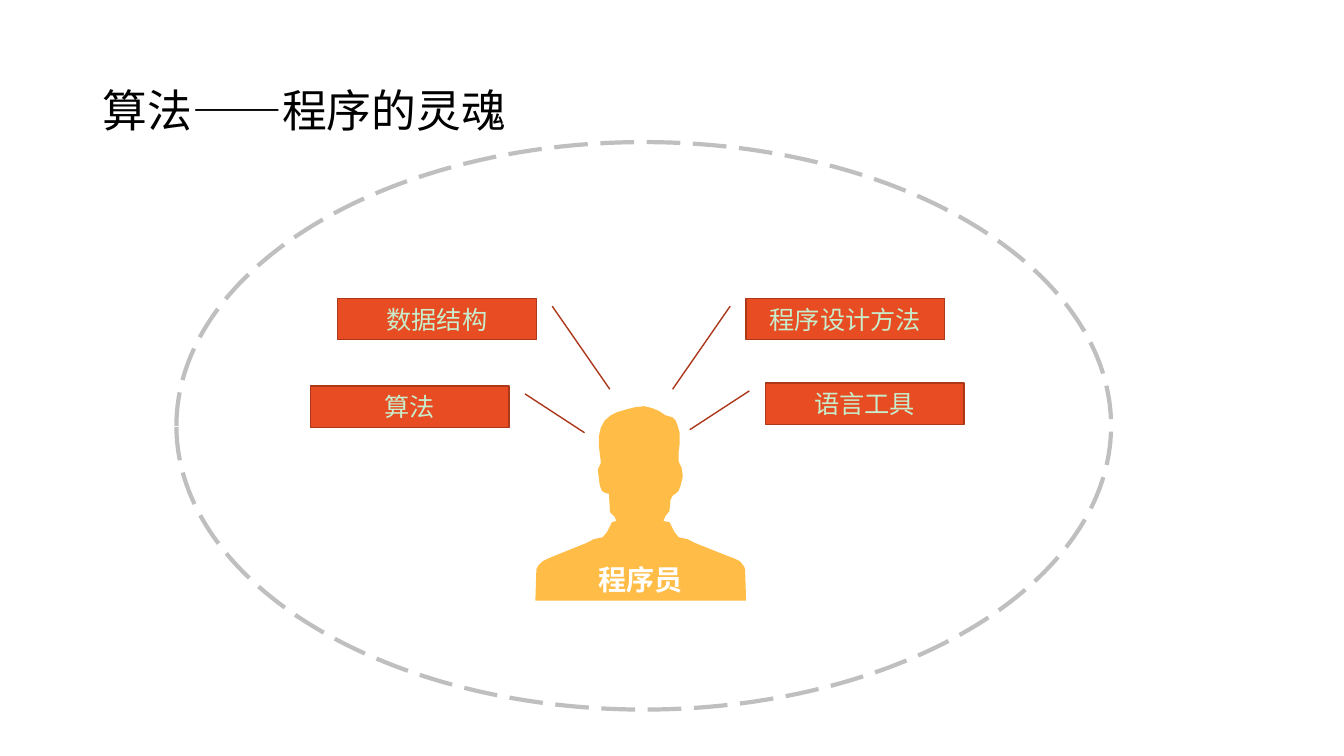
from lxml import etree
from pptx import Presentation
from pptx.dml.color import RGBColor
from pptx.enum.dml import MSO_LINE
from pptx.enum.shapes import MSO_SHAPE
from pptx.enum.text import MSO_ANCHOR, PP_ALIGN
from pptx.oxml.ns import qn
from pptx.util import Inches, Pt

CALLOUT, ELLIPSE = MSO_SHAPE.LINE_CALLOUT_1, MSO_SHAPE.OVAL
LONG_DASH = MSO_LINE.LONG_DASH
MIDDLE = MSO_ANCHOR.MIDDLE
LEFT, CENTER = PP_ALIGN.LEFT, PP_ALIGN.CENTER
FONT = "Noto Sans CJK SC"
WHITE, BLACK, GREY = "FFFFFF", "000000", "BFBFBF"
ORANGE, RUST, AMBER, MINT = "E84C22", "AC3819", "FFBD47", "C7EDCC"

CALLOUT_SIZE = (1.97, 0.41)
# Leader line: start y, start x, end y, end x, as shares of the box
SHORT_LEADER = (0.19, -0.08, 1.13, -0.38)
LONG_LEADER = (0.19, -0.08, 2.2, -0.37)
SKILLS = [
    # text, left, top, leader, mirrored
    ("算法", 3.08, 3.83, SHORT_LEADER, True),
    ("数据结构", 3.35, 2.96, LONG_LEADER, True),
    ("语言工具", 7.59, 3.8, SHORT_LEADER, False),
    ("程序设计方法", 7.4, 2.96, LONG_LEADER, False),
]

PERSON_OUTLINE = [
    # right side of the head
    (6.72, 4.22), (6.74, 4.29), (6.74, 4.41), (6.73, 4.49), (6.73, 4.58),
    (6.76, 4.64), (6.77, 4.7), (6.77, 4.74), (6.75, 4.82), (6.73, 4.87),
    (6.71, 4.89), (6.67, 4.92), (6.65, 4.96), (6.64, 5.07), (6.6, 5.12),
    (6.58, 5.17), (6.64, 5.18),
    # right shoulder
    (6.69, 5.28), (6.73, 5.33), (6.82, 5.35), (6.9, 5.39), (7.15, 5.49),
    (7.28, 5.54), (7.34, 5.57), (7.38, 5.62), (7.39, 5.65), (7.4, 5.96),
    # left shoulder
    (5.31, 5.96), (5.32, 5.65), (5.34, 5.61), (5.38, 5.57), (5.44, 5.54),
    (5.56, 5.49), (5.81, 5.39), (5.89, 5.35), (5.98, 5.33), (6.02, 5.28),
    (6.07, 5.18), (6.11, 5.17),
    # left side of the head
    (6.1, 5.13), (6.05, 5.08), (6.04, 4.9), (6.0, 4.89), (5.97, 4.87),
    (5.95, 4.82), (5.94, 4.75), (5.93, 4.66), (5.96, 4.59), (5.95, 4.51),
    (5.94, 4.42), (5.94, 4.33), (5.96, 4.24), (6.0, 4.17), (6.06, 4.12),
    (6.12, 4.09), (6.22, 4.06), (6.3, 4.04), (6.39, 4.03), (6.47, 4.05),
    (6.54, 4.08), (6.6, 4.12), (6.67, 4.14), (6.7, 4.17),
]


def rgb(value):
    return RGBColor.from_string(value)


def style_shape(shape, fill=None, line=None, width=1):
    shape.shadow.inherit = False
    if fill:
        shape.fill.solid()
        shape.fill.fore_color.rgb = rgb(fill)
    else:
        shape.fill.background()
    if line:
        shape.line.color.rgb = rgb(line)
        shape.line.width = Pt(width)
    else:
        shape.line.fill.background()


def write_text(shape, text, size, color, align=CENTER, bold=False):
    frame = shape.text_frame
    frame.word_wrap = True
    frame.vertical_anchor = MIDDLE
    para = frame.paragraphs[0]
    para.alignment = align
    span = para.add_run()
    span.text = text
    for name, value in {"name": FONT, "size": Pt(size), "bold": bold}.items():
        setattr(span.font, name, value)
    span.font.color.rgb = rgb(color)
    east_asian = etree.SubElement(span.font._element, qn("a:ea"))
    east_asian.set("typeface", FONT)
    return para


def add_label(page, bounds, text, size, color, **options):
    box = page.shapes.add_textbox(*map(Inches, bounds))
    return write_text(box, text, size, color, **options)


def add_person(page):
    start, *points = [(Inches(x), Inches(y)) for x, y in PERSON_OUTLINE]
    builder = page.shapes.build_freeform(*start)
    builder.add_line_segments(points, close=True)
    style_shape(builder.convert_to_shape(), fill=AMBER)


def add_skill(page, text, left, top, leader, mirrored):
    """Add a callout box; a mirrored one points to the right."""
    bounds = map(Inches, (left, top, *CALLOUT_SIZE))
    box = page.shapes.add_shape(CALLOUT, *bounds)
    for index, value in enumerate(leader):
        box.adjustments[index] = value
    if mirrored:
        box._element.spPr.xfrm.set("flipH", "1")
    style_shape(box, fill=ORANGE, line=RUST)
    write_text(box, text, 18, MINT)


def add_boundary(page):
    bounds = map(Inches, (1.75, 1.41, 9.27, 5.63))
    boundary = page.shapes.add_shape(ELLIPSE, *bounds)
    style_shape(boundary, line=GREY, width=3)
    boundary.line.dash_style = LONG_DASH


def main():
    deck = Presentation()
    deck.slide_width, deck.slide_height = Inches(13.33), Inches(7.5)
    page = deck.slides.add_slide(deck.slide_layouts[6])
    page.background.fill.solid()
    page.background.fill.fore_color.rgb = rgb(WHITE)

    add_person(page)
    add_label(page, (5.8, 5.53, 1.11, 0.44), "程序员", 20, WHITE, bold=True)
    for skill in SKILLS:
        add_skill(page, *skill)
    add_boundary(page)
    title = add_label(page, (0.92, 0.4, 11.5, 1.45), "算法——程序的灵魂",
                      32, BLACK, align=LEFT)
    title.line_spacing = 0.9
    deck.save("out.pptx")


if __name__ == "__main__":
    main()
